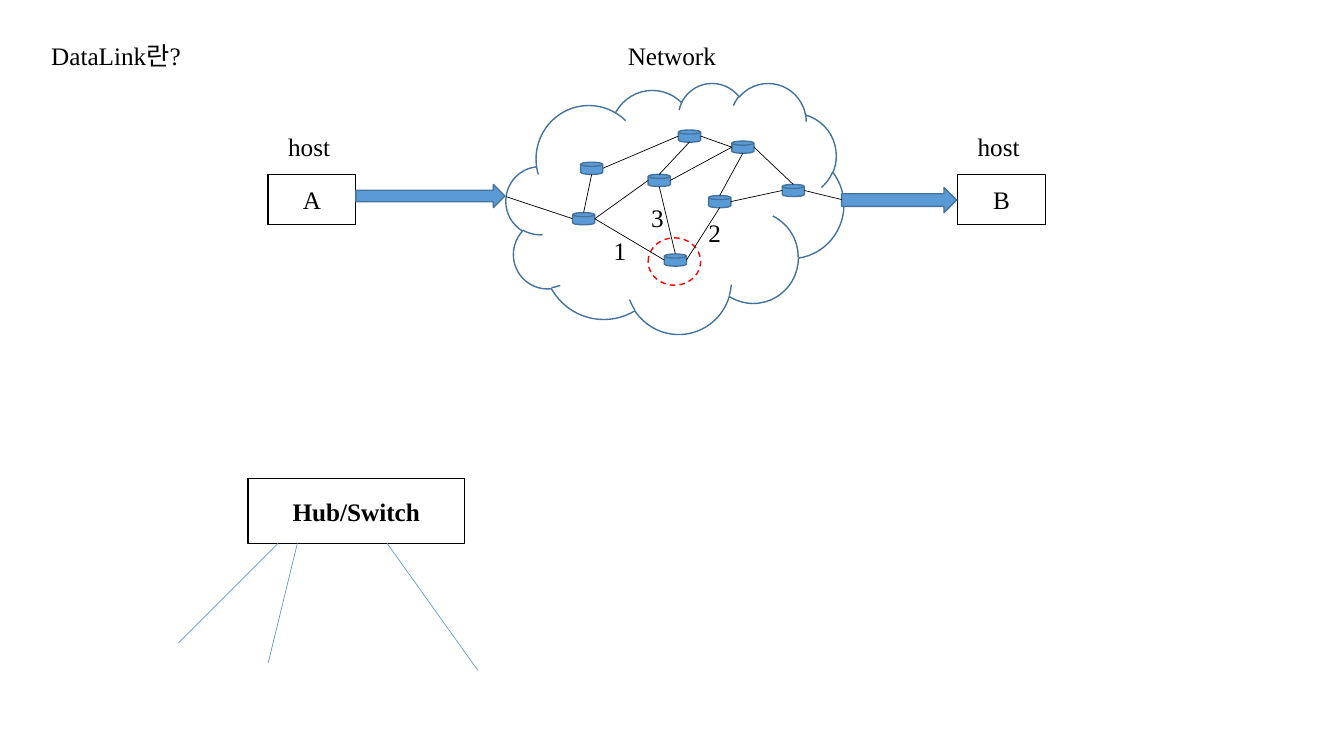
from lxml.etree import SubElement
from pptx import Presentation
from pptx.dml.color import RGBColor
from pptx.enum.dml import MSO_LINE as DASH
from pptx.enum.shapes import MSO_CONNECTOR, MSO_SHAPE as SHAPE
from pptx.enum.text import MSO_ANCHOR as ANCHOR, MSO_AUTO_SIZE as AUTO, PP_ALIGN as ALIGN
from pptx.oxml.ns import qn
from pptx.util import Inches, Pt

BLACK = RGBColor(0x00, 0x00, 0x00)
BLUE = RGBColor(0x5B, 0x9B, 0xD5)
NAVY = RGBColor(0x43, 0x73, 0x9E)
RED = RGBColor(0xFF, 0x00, 0x00)

CELL = Inches(0.1)  # side of one grid square
COLS, ROWS = 133.33, 75
ROUTER_W, ROUTER_H = 2.2, 1.2
TEXT_H = 4
FONT = {"name": "Times New Roman", "size": Pt(18), "bold": False}

# left column and top row of each router
ROUTERS = {
    "entry": (56.8, 21.1), "upper left": (57.6, 16.1), "top": (67.3, 12.9),
    "centre": (64.3, 17.3), "bottom": (65.9, 25.2), "right": (70.3, 19.4),
    "upper right": (72.6, 14), "exit": (77.6, 18.3),
}
# side of a router where a link is plugged in, as shares of its size
SIDES = {"left": (0, 0.5), "right": (1, 0.5), "top": (0.5, 0), "bottom": (0.5, 1)}
LINKS = [
    ("bottom", "left", "entry", "right"),
    ("right", "bottom", "bottom", "right"),
    ("centre", "bottom", "bottom", "top"),
    ("entry", "top", "upper left", "bottom"),
    ("entry", "right", "centre", "left"),
    ("centre", "top", "top", "bottom"),
    ("right", "top", "upper right", "bottom"),
    ("upper right", "left", "centre", "right"),
    ("upper right", "right", "exit", "top"),
    ("exit", "left", "right", "right"),
    ("upper left", "right", "top", "left"),
    ("upper right", "left", "top", "right"),
]
CLOUD_IN, CLOUD_OUT = (50.2, 19.5), (83.5, 19.8)
HUB_CABLES = [((27.6, 53.9), (17.7, 63.8)), ((29.5, 53.9), (26.6, 65.8)),
              ((38.4, 53.9), (47.4, 66.5))]
HOSTS = [("A", 26.6), ("B", 95)]
LABELS = [("DataLink란?", 4.1, 3.5, 49.3), ("Network", 61.3, 3.5, 11.2),
          ("1", 59.9, 22.9, 3.2), ("2", 69.3, 21.1, 3.2), ("3", 63.6, 19.6, 3.2)]


def grid(*cells):
    """Turn grid counts into slide lengths."""
    return [round(c * CELL) for c in cells]


def add_text(tf, text, align, **extra):
    """Write one line of text in the slide's font."""
    p = tf.paragraphs[0]
    p.alignment = align
    r = p.add_run()
    r.text = text
    for name, value in {**FONT, **extra}.items():
        setattr(r.font, name, value)
    r.font.color.rgb = BLACK


def add_label(s, text, x, y, w):
    """Add a text box that grows with its text."""
    tf = s.shapes.add_textbox(*grid(x, y, w, TEXT_H)).text_frame
    tf.word_wrap = True
    tf.auto_size = AUTO.SHAPE_TO_FIT_TEXT
    add_text(tf, text, ALIGN.LEFT)


def add_figure(s, kind, box, line, fill=None):
    """Add an outlined preset shape, filled if a colour is given."""
    sp = s.shapes.add_shape(kind, *grid(*box))
    sp.shadow.inherit = False
    sp.line.color.rgb = line
    sp.line.width = Pt(1)
    if fill is None:
        sp.fill.background()
    else:
        sp.fill.solid()
        sp.fill.fore_color.rgb = fill
    return sp


def add_box(s, text, box, **extra):
    """Add a black frame with centred text."""
    tf = add_figure(s, SHAPE.RECTANGLE, box, BLACK).text_frame
    tf.vertical_anchor = ANCHOR.MIDDLE
    add_text(tf, text, ALIGN.CENTER, **extra)


def add_line(s, start, end, color):
    """Add a thin straight line between two grid points."""
    cx = s.shapes.add_connector(MSO_CONNECTOR.STRAIGHT, *grid(*start, *end))
    cx.line.color.rgb = color
    cx.line.width = Pt(0.5)
    SubElement(cx._element.spPr, qn("a:effectLst"))


def port(router, side):
    """Find the grid point on one side of a router."""
    (x, y), (dx, dy) = ROUTERS[router], SIDES[side]
    return x + dx * ROUTER_W, y + dy * ROUTER_H


def add_network(s):
    """Draw the cloud with its routers, links and marked router."""
    add_figure(s, SHAPE.CLOUD, (50.2, 8.2, 33.5, 24.9), NAVY)
    for x, y in ROUTERS.values():
        add_figure(s, SHAPE.FLOWCHART_MAGNETIC_DISK,
                   (x, y, ROUTER_W, ROUTER_H), NAVY, BLUE)
    for box in ((35.3, 18.3, 14.8, 2.3), (83.5, 18.6, 11.4, 2.5)):
        add_figure(s, SHAPE.RIGHT_ARROW, box, NAVY, BLUE)
    mark = add_figure(s, SHAPE.OVAL, (64.3, 23.6, 5.2, 4.7), RED)
    mark.line.dash_style = DASH.DASH
    for a, a_side, b, b_side in LINKS:
        add_line(s, port(a, a_side), port(b, b_side), BLACK)
    add_line(s, port("entry", "left"), CLOUD_IN, BLACK)
    add_line(s, CLOUD_OUT, port("exit", "right"), BLACK)


def main():
    """Build the slide and save it."""
    prs = Presentation()
    prs.slide_width, prs.slide_height = grid(COLS, ROWS)
    s = prs.slides.add_slide(prs.slide_layouts[6])
    add_box(s, "Hub/Switch", (24.6, 47.5, 21.5, 6.4), bold=True)
    for start, end in HUB_CABLES:
        add_line(s, start, end, BLUE)
    for name, x in HOSTS:
        add_box(s, name, (x, 17.3, 8.7, 5))
        add_label(s, "host", x + 1, 12.5, 6.7)
    add_network(s)
    for label in LABELS:
        add_label(s, *label)
    prs.save("out.pptx")


main()
